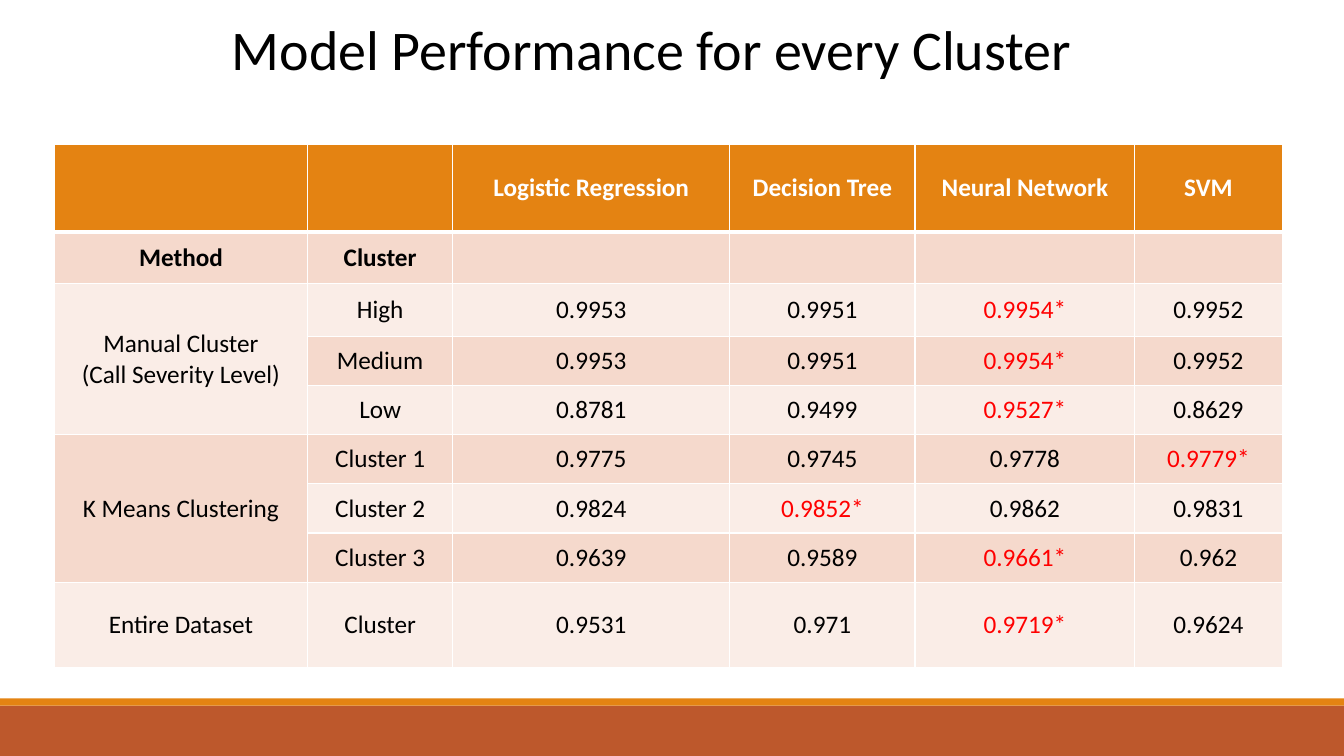
"""Build a slide with a table of model performance for every cluster."""
from lxml.etree import SubElement
from pptx import Presentation
from pptx.dml.color import RGBColor
from pptx.enum.shapes import MSO_SHAPE
from pptx.enum.text import MSO_ANCHOR, MSO_AUTO_SIZE, PP_ALIGN
from pptx.oxml import parse_xml
from pptx.oxml.ns import nsdecls, qn
from pptx.util import Cm, Pt

ORANGE, RUST, WHITE, BLACK, RED = "E48312", "BD582C", "FFFFFF", "000000", "FF0000"
BANDS = ["FAEDE7", "F5D9CC"]
COLUMN_WIDTHS = [6.38, 3.66, 6.98, 4.67, 5.54, 3.71]
ROW_HEIGHTS = [2.21, 1.3, 1.32] + [1.24] * 5 + [2.16]
MANUAL_ROW, K_MEANS_ROW, METHOD_SPAN = 2, 5, 3
ROWS = [
    ["", "", "Logistic Regression", "Decision Tree", "Neural Network", "SVM"],
    ["Method", "Cluster", "", "", "", ""],
    ["Manual Cluster\n(Call Severity Level)", "High", "0.9953", "0.9951", "0.9954*", "0.9952"],
    ["", "Medium", "0.9953", "0.9951", "0.9954*", "0.9952"],
    ["", "Low", "0.8781", "0.9499", "0.9527*", "0.8629"],
    ["K Means Clustering", "Cluster 1", "0.9775", "0.9745", "0.9778", "0.9779*"],
    ["", "Cluster 2", "0.9824", "0.9852*", "0.9862", "0.9831"],
    ["", "Cluster 3", "0.9639", "0.9589", "0.9661*", "0.962"],
    ["Entire Dataset", "Cluster", "0.9531", "0.971", "0.9719*", "0.9624"],
]


def paint(color_format, color):
    color_format.rgb = RGBColor.from_string(color)


def write(paragraph, text, size, color, bold=False):
    paragraph.alignment = PP_ALIGN.CENTER
    for index, line in enumerate(text.split("\n")):
        if index:
            paragraph.add_line_break()
        run = paragraph.add_run()
        run.text = line
        run.font.name = "Calibri"
        run.font.size = Pt(size)
        run.font.bold = bold
        paint(run.font.color, color)


presentation = Presentation()
presentation.slide_width = Cm(33.87)
presentation.slide_height = Cm(19.05)
slide = presentation.slides.add_slide(presentation.slide_layouts[5])

for top, height, color in [(17.78, 1.27, RUST), (17.6, 0.18, ORANGE)]:
    bar = slide.shapes.add_shape(
        MSO_SHAPE.RECTANGLE, 0, Cm(top), presentation.slide_width, Cm(height))
    bar.shadow.inherit = False
    bar.fill.solid()
    paint(bar.fill.fore_color, color)
    bar.line.fill.background()

title = slide.shapes.title
title.left, title.top, title.width, title.height = Cm(0.15), Cm(0.23), Cm(32.54), Cm(1.96)
title.text_frame.word_wrap = True
title.text_frame.auto_size = MSO_AUTO_SIZE.SHAPE_TO_FIT_TEXT
write(title.text_frame.paragraphs[0], "Model Performance for every Cluster", 40, BLACK)

table = slide.shapes.add_table(
    len(ROWS), len(COLUMN_WIDTHS), Cm(1.37), Cm(3.64),
    Cm(sum(COLUMN_WIDTHS)), Cm(sum(ROW_HEIGHTS))).table
for column, width in zip(table.columns, COLUMN_WIDTHS):
    column.width = Cm(width)
for row, height in zip(table.rows, ROW_HEIGHTS):
    row.height = Cm(height)
for first_row in (MANUAL_ROW, K_MEANS_ROW):
    table.cell(first_row, 0).merge(table.cell(first_row + METHOD_SPAN - 1, 0))

for row_index, texts in enumerate(ROWS):
    for column_index, text in enumerate(texts):
        cell = table.cell(row_index, column_index)
        cell.vertical_anchor = MSO_ANCHOR.MIDDLE
        cell.fill.solid()
        paint(cell.fill.fore_color, BANDS[row_index % 2] if row_index else ORANGE)
        if text:
            color = RED if text.endswith("*") else BLACK if row_index else WHITE
            write(cell.text_frame.paragraphs[0], text, 18, color, bold=row_index < 2)
        properties = cell._tc.get_or_add_tcPr()
        for position, side in enumerate("LRTB"):
            below_header = (row_index, side) in [(0, "B"), (1, "T")]
            border = parse_xml(f'<a:ln{side} {nsdecls("a")} w="{Pt(3 if below_header else 1)}"/>')
            fill = SubElement(border, qn("a:solidFill"))
            SubElement(fill, qn("a:srgbClr"), val=WHITE)
            properties.insert(position, border)

presentation.save("out.pptx")
